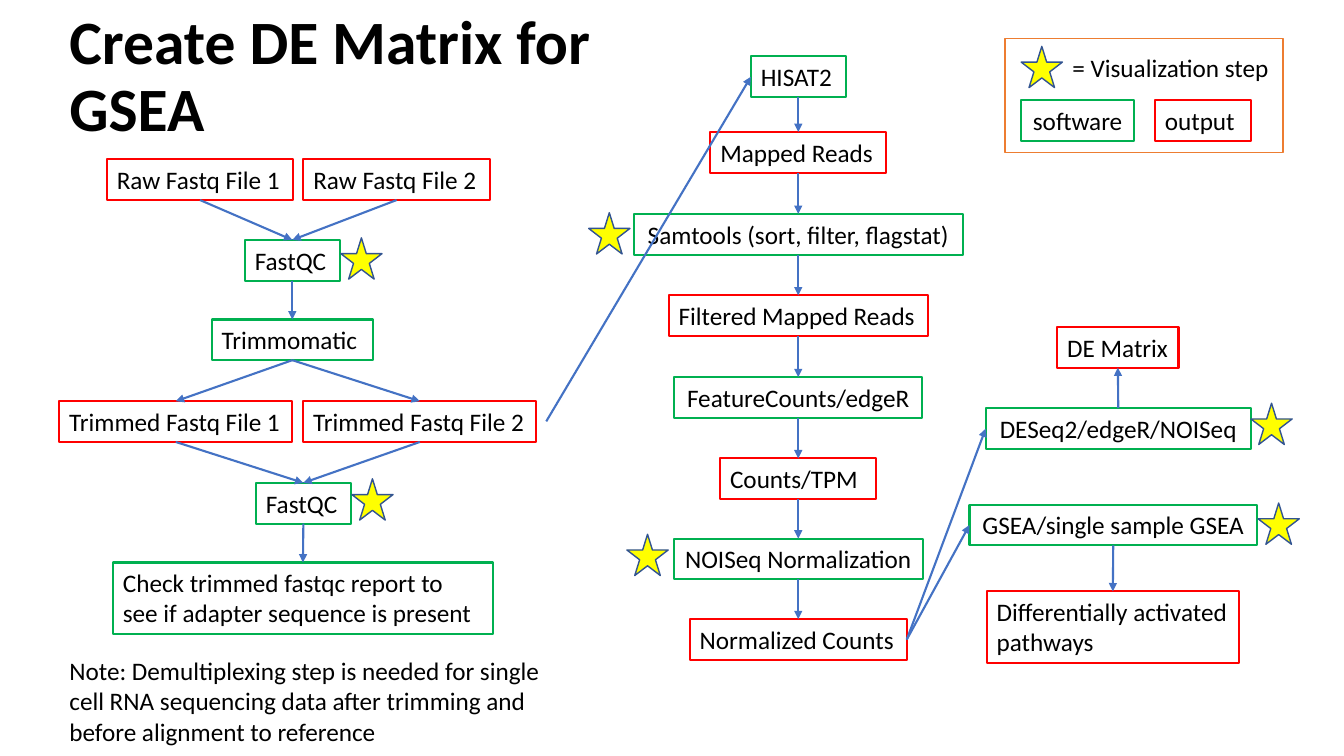
import pptx
import pptx.dml.color
import pptx.enum.shapes
import pptx.enum.text
import pptx.oxml.ns
import pptx.util
from lxml import etree

Pt = pptx.util.Pt
SHAPES = pptx.enum.shapes.MSO_SHAPE
ALIGN = pptx.enum.text.PP_ALIGN
ANCHOR = pptx.enum.text.MSO_ANCHOR
SOFTWARE, OUTPUT = "00B050", "FF0000"
TOP, LEFT, BOTTOM, RIGHT = range(4)


def color(value):
    return pptx.dml.color.RGBColor.from_string(value)


class Flowchart:
    font = "Calibri"
    text_size = 18
    text_color = "000000"
    arrow_color = "4472C4"
    row_height = 29.1
    tall_height = 51.1
    star_size = 29.5

    def __init__(self, slide):
        self.shapes = slide.shapes

    def add_wording(self, frame, text, size=None, bold=False, align=ALIGN.LEFT,
                    anchor=ANCHOR.TOP):
        frame.word_wrap = True
        frame.vertical_anchor = anchor
        paragraph = frame.paragraphs[0]
        paragraph.alignment = align
        run = paragraph.add_run()
        run.text = text
        run.font.name = self.font
        run.font.size = Pt(size or self.text_size)
        run.font.bold = bold
        run.font.color.rgb = color(self.text_color)
        return paragraph

    def label(self, text, left, top, width, height, **style):
        box = self.shapes.add_textbox(Pt(left), Pt(top), Pt(width), Pt(height))
        return self.add_wording(box.text_frame, text, **style)

    def outline(self, kind, left, top, width, height, line, weight, fill=None):
        shape = self.shapes.add_shape(kind, Pt(left), Pt(top), Pt(width), Pt(height))
        shape.shadow.inherit = False
        if fill:
            shape.fill.solid()
            shape.fill.fore_color.rgb = color(fill)
        else:
            shape.fill.background()
        shape.line.color.rgb = color(line)
        shape.line.width = Pt(weight)
        return shape

    def step(self, text, role, center, top, width, height=row_height, align=ALIGN.LEFT):
        box = self.outline(SHAPES.RECTANGLE, center - width / 2, top, width, height, role, 1.5)
        self.add_wording(box.text_frame, text, align=align)
        return box

    def star(self, left, top):
        self.outline(SHAPES.STAR_5_POINT, left, top, self.star_size, self.star_size,
                     "325491", 1, "FFFF00")

    def arrow(self, source, target, leave=BOTTOM, enter=TOP, start=(0, 0)):
        link = self.shapes.add_connector(pptx.enum.shapes.MSO_CONNECTOR.STRAIGHT,
                                         Pt(start[0]), Pt(start[1]), 0, 0)
        if source is not None:
            link.begin_connect(source, leave)
        link.end_connect(target, enter)
        link.line.color.rgb = color(self.arrow_color)
        link.line.width = Pt(1.5)
        qn = pptx.oxml.ns.qn
        properties = link.element.find(qn("p:spPr"))
        etree.SubElement(properties.find(qn("a:ln")), qn("a:tailEnd"), type="triangle")
        etree.SubElement(properties, qn("a:effectLst"))


def draw_trimming(chart):
    raw_files = [chart.step(f"Raw Fastq File {n}", OUTPUT, center, 113.8, 133.2)
                 for n, center in ((1, 142.9), (2, 283.3))]
    raw_check = chart.step("FastQC", SOFTWARE, 208.8, 171.4, 67.7)
    trimming = chart.step("Trimmomatic", SOFTWARE, 208.8, 228.2, 115.2)
    trimmed_files = [chart.step(f"Trimmed Fastq File {n}", OUTPUT, center, 286.6, 166.5)
                     for n, center in ((1, 125.6), (2, 299.9))]
    trimmed_check = chart.step("FastQC", SOFTWARE, 216.7, 344.9, 67.7)
    report = chart.step("Check trimmed fastqc report to see if adapter sequence is present",
                        SOFTWARE, 216.4, 401.8, 271.4, chart.tall_height)
    for raw, trimmed in zip(raw_files, trimmed_files):
        chart.arrow(raw, raw_check)
        chart.arrow(trimming, trimmed)
        chart.arrow(trimmed, trimmed_check)
    chart.arrow(raw_check, trimming)
    chart.arrow(trimmed_check, report)


def draw_counting(chart):
    stages = [
        ("HISAT2", SOFTWARE, 40.3, 67.7, ALIGN.LEFT),
        ("Mapped Reads", OUTPUT, 94.3, 125.5, ALIGN.LEFT),
        ("Samtools (sort, filter, flagstat)", SOFTWARE, 152.8, 235, ALIGN.CENTER),
        ("Filtered Mapped Reads", OUTPUT, 211, 185.2, ALIGN.LEFT),
        ("FeatureCounts/edgeR", SOFTWARE, 269.4, 177.2, ALIGN.CENTER),
        ("Counts/TPM", OUTPUT, 327.4, 111.6, ALIGN.LEFT),
        ("NOISeq Normalization", SOFTWARE, 384.7, 178, ALIGN.CENTER),
        ("Normalized Counts", OUTPUT, 442.3, 155, ALIGN.LEFT),
    ]
    column = [chart.step(text, role, 570.2, top, width, align=align)
              for text, role, top, width, align in stages]
    for upper, lower in zip(column, column[1:]):
        chart.arrow(upper, lower)
    chart.arrow(None, column[0], enter=LEFT, start=(390.2, 301))
    return column[-1]


def draw_analysis(chart, normalized_counts):
    expression = chart.step("DESeq2/edgeR/NOISeq", SOFTWARE, 798.8, 291.6, 189.4,
                            align=ALIGN.CENTER)
    matrix = chart.step("DE Matrix", OUTPUT, 798.5, 233.5, 86.6)
    enrichment = chart.step("GSEA/single sample GSEA", SOFTWARE, 795.2, 360.5, 205.4,
                            align=ALIGN.CENTER)
    pathways = chart.step("Differentially activated pathways", OUTPUT, 794.9, 422.4, 180,
                          chart.tall_height)
    chart.arrow(expression, matrix, leave=TOP, enter=BOTTOM)
    chart.arrow(enrichment, pathways)
    for analysis in (expression, enrichment):
        chart.arrow(normalized_counts, analysis, leave=RIGHT, enter=LEFT)


def draw_legend(chart):
    chart.label("= Visualization step", 758.9, 34, 176.4, chart.row_height)
    chart.step("software", SOFTWARE, 769.7, 71.5, 80.6, align=ALIGN.CENTER)
    chart.step("output", OUTPUT, 859.3, 71.5, 68.6)
    chart.outline(SHAPES.RECTANGLE, 717.8, 27.4, 198.7, 81.4, "ED7D31", 1)


def main():
    deck = pptx.Presentation()
    deck.slide_width, deck.slide_height = Pt(960), Pt(540)
    chart = Flowchart(deck.slides.add_slide(deck.slide_layouts[6]))

    title = chart.label("Create DE Matrix for GSEA", 42.5, 3.6, 479.5, 104.4,
                        size=44, bold=True, anchor=ANCHOR.MIDDLE)
    title.line_spacing = 0.9
    draw_trimming(chart)
    normalized_counts = draw_counting(chart)
    draw_analysis(chart, normalized_counts)
    for left, top in ((243.4, 169.9), (251.3, 342), (420.5, 151.9), (447.8, 381.6),
                      (898.6, 359.3), (893.5, 288), (729.4, 33.1)):
        chart.star(left, top)
    draw_legend(chart)
    chart.label("Note: Demultiplexing step is needed for single cell RNA sequencing data "
                "after trimming and before alignment to reference", 42.5, 464.6, 377.3, 72.7)
    deck.save("out.pptx")


if __name__ == "__main__":
    main()
